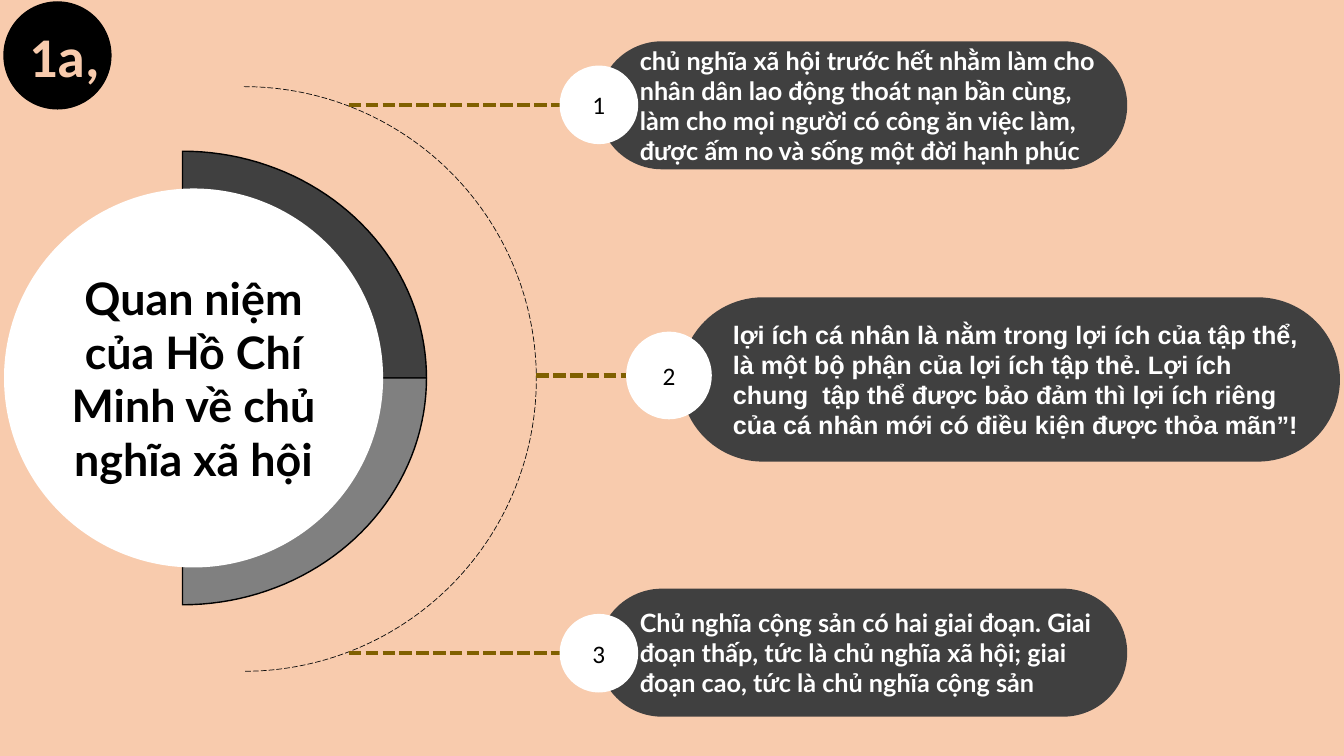
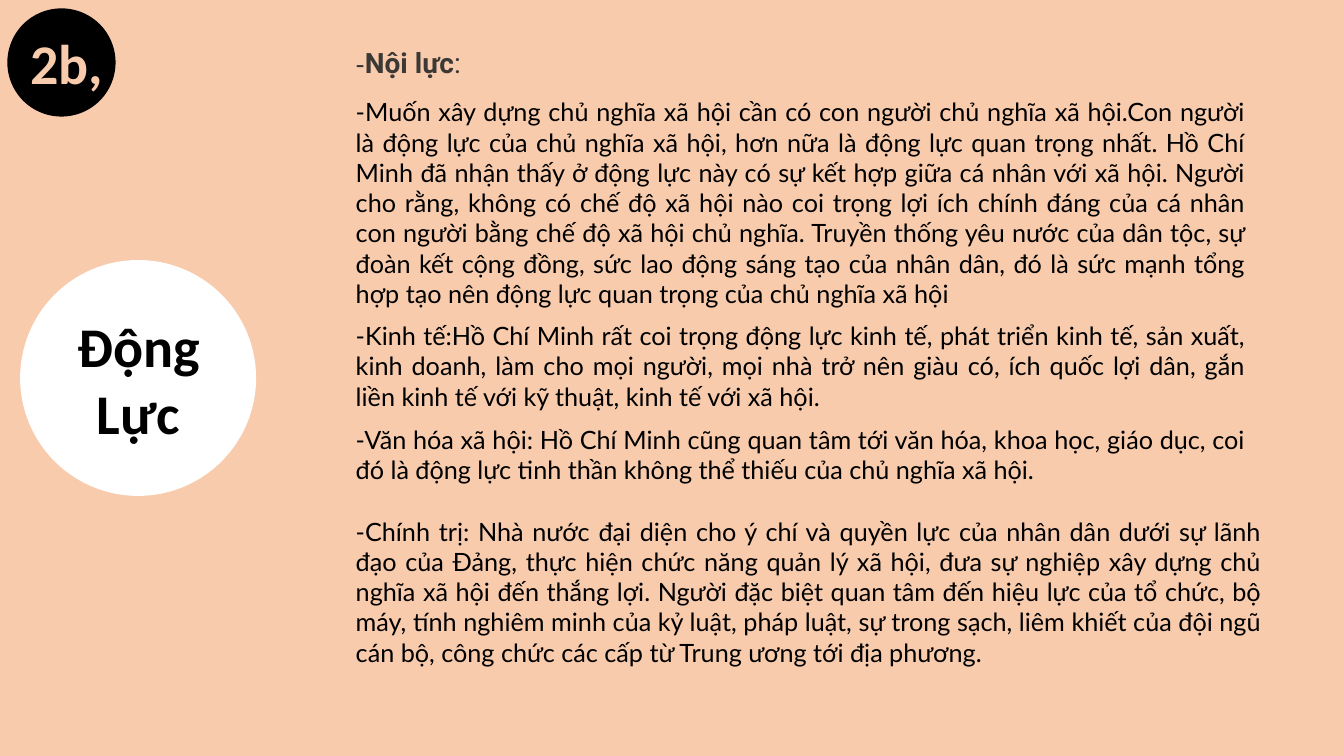
import math

from lxml import etree
from pptx import Presentation
from pptx.dml.color import RGBColor
from pptx.enum.dml import MSO_LINE
from pptx.enum.shapes import MSO_CONNECTOR, MSO_SHAPE
from pptx.enum.text import MSO_ANCHOR, MSO_AUTO_SIZE, PP_ALIGN
from pptx.oxml.ns import qn
from pptx.util import Inches, Pt

OVAL, PILL, ARC = MSO_SHAPE.OVAL, MSO_SHAPE.ROUNDED_RECTANGLE, MSO_SHAPE.ARC
STRAIGHT = MSO_CONNECTOR.STRAIGHT
LONG_DASH, SQUARE_DASH = MSO_LINE.LONG_DASH, MSO_LINE.SQUARE_DOT
LEFT, CENTER, JUSTIFY = PP_ALIGN.LEFT, PP_ALIGN.CENTER, PP_ALIGN.JUSTIFY
TOP, MIDDLE = MSO_ANCHOR.TOP, MSO_ANCHOR.MIDDLE
NO_AUTOFIT = MSO_AUTO_SIZE.NONE

PEACH = RGBColor(0xF8, 0xCB, 0xAD)
BLACK = RGBColor(0x00, 0x00, 0x00)
WHITE = RGBColor(0xFF, 0xFF, 0xFF)
DARK = RGBColor(0x40, 0x40, 0x40)
GRAY = RGBColor(0x80, 0x80, 0x80)
INK = RGBColor(0x0D, 0x0D, 0x0D)
OLIVE = RGBColor(0x80, 0x60, 0x00)
DASH_INK = RGBColor(0x33, 0x33, 0x33)
HEADING_INK = RGBColor(0x3B, 0x38, 0x35)

POINTS = [
    {"text": "chủ nghĩa xã hội trước hết nhằm làm cho nhân dân lao động thoát nạn bần cùng, làm cho mọi người có công ăn việc làm, được ấm no và sống một đời hạnh phúc",
     "font": "Lato", "pill": (5.93, 0.41, 5.25, 1.27), "indent": 0.13,
     "disc": (5.55, 0.65, 0.78, 0.78), "line_start": 3.46},
    {"text": "lợi ích cá nhân là nằm trong lợi ích của tập thể, là một bộ phận của lợi ích tập thẻ. Lợi ích chung  tập thể được bảo đảm thì lợi ích riêng của cá nhân mới có điều kiện được thỏa mãn”!",
     "font": "Arial", "pill": (6.75, 2.95, 6.54, 1.63), "indent": 0.18,
     "disc": (6.21, 3.29, 0.85, 0.87), "line_start": 5.32},
    {"text": "Chủ nghĩa cộng sản có hai giai đoạn. Giai đoạn thấp, tức là chủ nghĩa xã hội; giai đoạn cao, tức là chủ nghĩa cộng sản",
     "font": "Lato", "pill": (5.93, 5.84, 5.25, 1.27), "indent": 0.13,
     "disc": (5.55, 6.09, 0.78, 0.78), "line_start": 3.46},
]

HEADING = [
    ("-", "DejaVu Sans", 18, False, DASH_INK),
    ("Nội lực", "Roboto", 20, True, HEADING_INK),
    (":", "Roboto", 20, False, HEADING_INK),
]

FORCES = [
    ((3.43, 0.91, 9.02, 2.22), "-Muốn xây dựng chủ nghĩa xã hội cần có con người chủ nghĩa xã hội.Con người là động lực của chủ nghĩa xã hội, hơn nữa là động lực quan trọng nhất. Hồ Chí Minh đã nhận thấy ở động lực này có sự kết hợp giữa cá nhân với xã hội. Người cho rằng, không có chế độ xã hội nào coi trọng lợi ích chính đáng của cá nhân con người bằng chế độ xã hội chủ nghĩa. Truyền thống yêu nước của dân tộc, sự đoàn kết cộng đồng, sức lao động sáng tạo của nhân dân, đó là sức mạnh tổng hợp tạo nên động lực quan trọng của chủ nghĩa xã hội"),
    ((3.43, 3.13, 9.02, 1.01), "-Kinh tế:Hồ Chí Minh rất coi trọng động lực kinh tế, phát triển kinh tế, sản xuất, kinh doanh, làm cho mọi người, mọi nhà trở nên giàu có, ích quốc lợi dân, gắn liền kinh tế với kỹ thuật, kinh tế với xã hội."),
    ((3.43, 4.16, 9.02, 0.71), "-Văn hóa xã hội: Hồ Chí Minh cũng quan tâm tới văn hóa, khoa học, giáo dục, coi đó là động lực tinh thần không thể thiếu của chủ nghĩa xã hội."),
    ((3.43, 5.07, 9.18, 1.62), "-Chính trị: Nhà nước đại diện cho ý chí và quyền lực của nhân dân dưới sự lãnh đạo của Đảng, thực hiện chức năng quản lý xã hội, đưa sự nghiệp xây dựng chủ nghĩa xã hội đến thắng lợi. Người đặc biệt quan tâm đến hiệu lực của tổ chức, bộ máy, tính nghiêm minh của kỷ luật, pháp luật, sự trong sạch, liêm khiết của đội ngũ cán bộ, công chức các cấp từ Trung ương tới địa phương."),
]


def inches(box):
    return [Inches(value) for value in box]


def style_font(font, name, size, color, bold=False):
    font.name, font.size, font.bold = name, Pt(size), bold
    font.color.rgb = color


def write(shape, text, name, size, color, bold=False, align=LEFT, anchor=MIDDLE):
    frame = shape.text_frame
    frame.word_wrap = True
    frame.auto_size = NO_AUTOFIT
    frame.vertical_anchor = anchor
    para = frame.paragraphs[0]
    para.text = text
    para.alignment = align
    style_font(para.font, name, size, color, bold)


def paint(shape, fill=None, line=None, width=1):
    shape.shadow.inherit = False
    if fill is None:
        shape.fill.background()
    else:
        shape.fill.solid()
        shape.fill.fore_color.rgb = fill
    if line is None:
        shape.line.fill.background()
    else:
        shape.line.color.rgb = line
        shape.line.width = Pt(width)


def add_shape(page, kind, box, fill=None, line=None, width=1):
    shape = page.shapes.add_shape(kind, *inches(box))
    paint(shape, fill, line, width)
    return shape


def add_text(page, box, *args, **options):
    shape = page.shapes.add_textbox(*inches(box))
    write(shape, *args, **options)


def add_badge(page, left, top, label, text_left):
    add_shape(page, OVAL, (left, top, 1.06, 1.06), BLACK, BLACK)
    add_text(page, (text_left, top + 0.14, 0.94, 0.77), label,
             "Calibri", 40, PEACH, bold=True, anchor=TOP)


def add_title_disc(page, disc, title_box, text, name, size):
    add_shape(page, OVAL, disc, WHITE)
    title = page.shapes.title
    title.left, title.top, title.width, title.height = inches(title_box)
    write(title, text, name, size, BLACK, bold=True, align=CENTER)
    page.shapes.element.append(title.element)


def add_quarter(page, direction, fill):
    center_x, center_y, radius_x, radius_y, steps = 1.81, 3.75, 2.42, 2.25, 40
    angles = [math.pi / 2 * step / steps for step in range(steps + 1)]
    rim = [(Inches(center_x + radius_x * math.sin(angle)),
            Inches(center_y + direction * radius_y * math.cos(angle))) for angle in angles]
    builder = page.shapes.build_freeform(Inches(center_x), Inches(center_y))
    builder.add_line_segments(rim, close=True)
    paint(builder.convert_to_shape(), fill, BLACK)


def add_point(page, number, point):
    pill = add_shape(page, PILL, point["pill"], DARK)
    pill.adjustments[0] = 0.5
    write(pill, point["text"], point["font"], 18, WHITE, bold=True)
    pill.text_frame.margin_left = Inches(0.1 + point["indent"])

    left, top, _, height = point["disc"]
    middle = Inches(top + height / 2)
    link = page.shapes.add_connector(STRAIGHT, Inches(point["line_start"]), middle,
                                     Inches(left), middle)
    link.line.color.rgb = OLIVE
    link.line.width = Pt(3)
    link.line.dash_style = SQUARE_DASH
    etree.SubElement(link.element.spPr, qn("a:effectLst"))

    disc = add_shape(page, OVAL, point["disc"], WHITE)
    write(disc, str(number), "Calibri", 18, BLACK, align=CENTER)


def build_concept(page):
    add_quarter(page, -1, DARK)
    add_quarter(page, 1, GRAY)
    add_title_disc(page, (0.04, 1.87, 3.76, 3.76), (0.59, 2.42, 2.66, 2.66),
                   "Quan niệm của Hồ Chí Minh về chủ nghĩa xã hội", "Lato", 32)
    orbit = add_shape(page, ARC, (-0.48, 0.86, 5.8, 5.8), line=INK, width=0.5)
    orbit.adjustments[0], orbit.adjustments[1] = 162, 54
    orbit.line.dash_style = LONG_DASH
    for number, point in enumerate(POINTS, 1):
        add_point(page, number, point)
    add_badge(page, 0.04, 0.02, "1a,", 0.19)


def build_forces(page):
    add_badge(page, 0.08, 0.09, "2b,", 0.2)
    heading = page.shapes.add_textbox(*inches((3.43, 0.4, 4.45, 0.44)))
    heading.text_frame.word_wrap = True
    para = heading.text_frame.paragraphs[0]
    for text, name, size, bold, color in HEADING:
        span = para.add_run()
        span.text = text
        style_font(span.font, name, size, color, bold)
    add_title_disc(page, (0.2, 2.58, 2.34, 2.34), (0.46, 3.03, 1.83, 1.45),
                   "Động Lực", "Calibri", 40)
    for box, text in FORCES:
        add_text(page, box, text, "Lato", 18, BLACK, align=JUSTIFY, anchor=TOP)


def main():
    deck = Presentation()
    deck.slide_width, deck.slide_height = Inches(13.33), Inches(7.5)
    backdrop = deck.slide_master.background.fill
    backdrop.solid()
    backdrop.fore_color.rgb = PEACH
    title_only = deck.slide_layouts[5]
    for build in (build_concept, build_forces):
        build(deck.slides.add_slide(title_only))
    deck.save("out.pptx")


if __name__ == "__main__":
    main()
